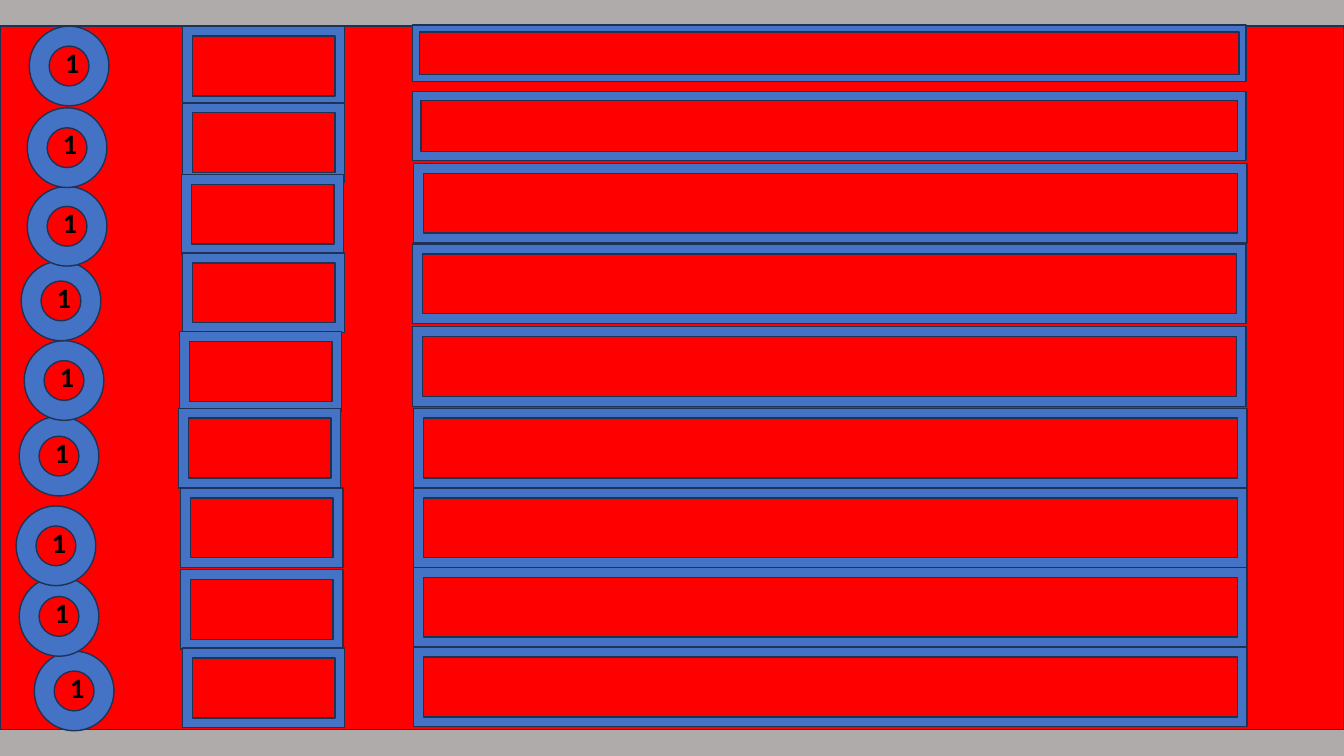
from typing import NamedTuple

from pptx import Presentation, util as u
from pptx.dml.color import RGBColor
from pptx.enum import shapes, text

COLORS = {"backdrop": "AFABAB", "panel": "FF0000", "accent": "4472C4",
          "outline": "1E3256", "label": "000000"}
LABEL_FONT = {"name": "Calibri", "size": u.Pt(20), "bold": True}
LABEL_FRAME = {"word_wrap": True, "auto_size": text.MSO_AUTO_SIZE.SHAPE_TO_FIT_TEXT}

SLIDE_W, SLIDE_H = u.Inches(13.33), u.Inches(7.5)
COLUMNS, ROWS = 133.3, 75
DISC = 7.9
TAG_W, TAG_H = 16.1, 7.9
BAR_W = 82.7
LABEL_W, LABEL_H = 5.8, 5.1
LABEL_DX, LABEL_DY = 1.35, 1.4


class Box(NamedTuple):
    col: float
    row: float
    cols: float
    rows: float

    def emu(self) -> tuple[int, int, int, int]:
        return (round(self.col / COLUMNS * SLIDE_W), round(self.row / ROWS * SLIDE_H),
                round(self.cols / COLUMNS * SLIDE_W), round(self.rows / ROWS * SLIDE_H))


class Entry(NamedTuple):
    """Top left corners (column, row) of one line's disc, tag and bar."""
    disc: tuple[float, float]
    tag: tuple[float, float]
    bar: tuple[float, float]
    bar_h: float = 7.9
    label: str = "1"


ENTRIES = [
    Entry((2.9, 2.6), (18.1, 2.6), (40.9, 2.5), 5.6),
    Entry((2.7, 10.7), (18.1, 10.2), (40.9, 9.1), 6.8),
    Entry((2.7, 18.5), (18.0, 17.3), (41.0, 16.2)),
    Entry((2.1, 25.9), (18.1, 25.1), (40.9, 24.2)),
    Entry((2.4, 33.8), (17.8, 32.9), (40.9, 32.4)),
    Entry((1.9, 41.3), (17.7, 40.5), (41.0, 40.5)),
    Entry((1.6, 50.2), (17.9, 48.4), (41.0, 48.4)),
    Entry((1.9, 57.2), (17.9, 56.5), (41.0, 56.3)),
    Entry((3.4, 64.6), (18.1, 64.3), (41.0, 64.2)),
]


def rgb(name: str) -> RGBColor:
    return RGBColor.from_string(COLORS[name])


def add_outlined(tree, kind: shapes.MSO_SHAPE, box: Box, fill: str) -> None:
    s = tree.add_shape(kind, *box.emu())
    s.shadow.inherit = False
    s.fill.solid()
    s.fill.fore_color.rgb = rgb(fill)
    s.line.color.rgb = rgb("outline")
    s.line.width = u.Pt(1)


def add_label(tree, box: Box, content: str) -> None:
    tf = tree.add_textbox(*box.emu()).text_frame
    for name, value in LABEL_FRAME.items():
        setattr(tf, name, value)
    p = tf.paragraphs[0]
    p.alignment = text.PP_ALIGN.CENTER
    r = p.add_run()
    r.text = content
    for name, value in LABEL_FONT.items():
        setattr(r.font, name, value)
    r.font.color.rgb = rgb("label")


def add_numbered_disc(tree, entry: Entry) -> None:
    group = tree.add_group_shape().shapes
    col, row = entry.disc
    add_outlined(group, shapes.MSO_SHAPE.DONUT, Box(col, row, DISC, DISC), "accent")
    add_label(group, Box(col + LABEL_DX, row + LABEL_DY, LABEL_W, LABEL_H), entry.label)


def main() -> None:
    prs = Presentation()
    prs.slide_width, prs.slide_height = SLIDE_W, SLIDE_H
    slide = prs.slides.add_slide(prs.slide_layouts[6])
    slide.background.fill.solid()
    slide.background.fill.fore_color.rgb = rgb("backdrop")
    tree = slide.shapes

    add_outlined(tree, shapes.MSO_SHAPE.RECTANGLE, Box(0, 2.6, COLUMNS, 69.8), "panel")
    for entry in ENTRIES:
        for box in (Box(*entry.tag, TAG_W, TAG_H), Box(*entry.bar, BAR_W, entry.bar_h)):
            add_outlined(tree, shapes.MSO_SHAPE.FRAME, box, "accent")
    # Upper discs overlap the ones below them.
    for entry in reversed(ENTRIES):
        add_numbered_disc(tree, entry)

    prs.save("out.pptx")


if __name__ == "__main__":
    main()
